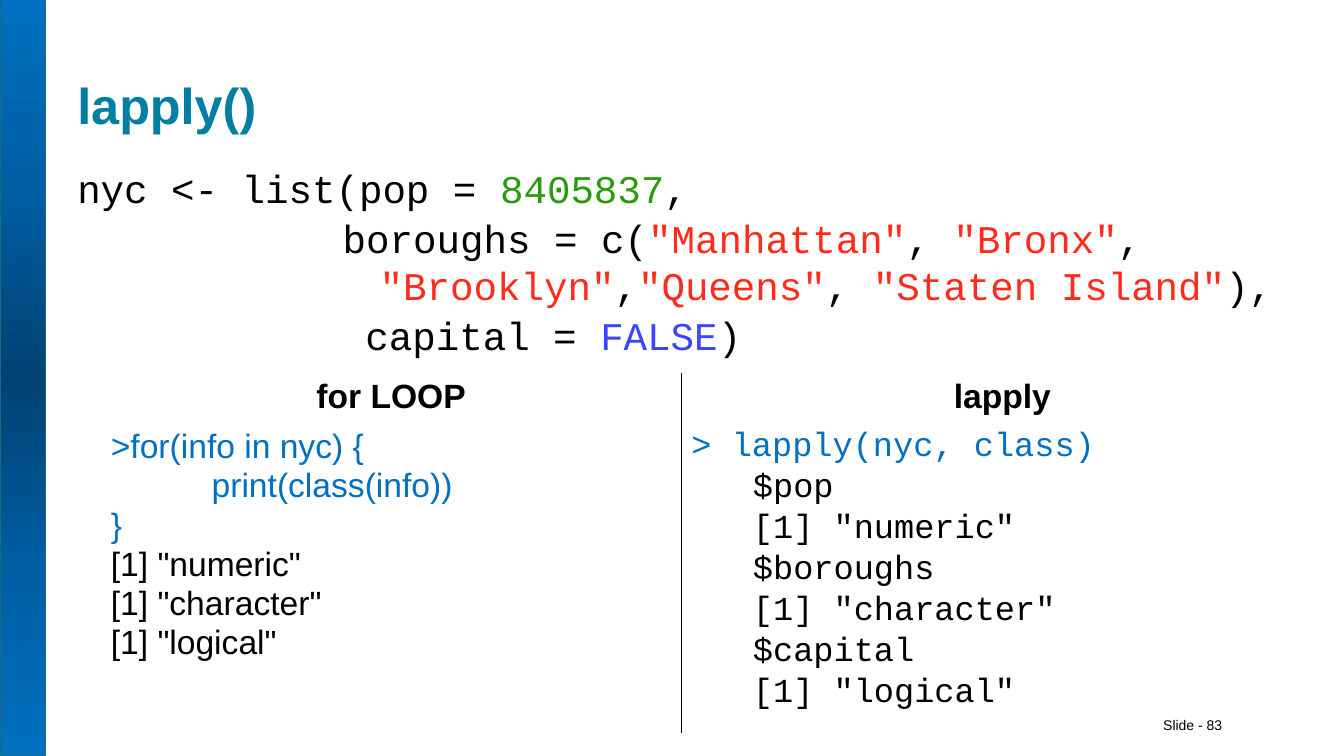
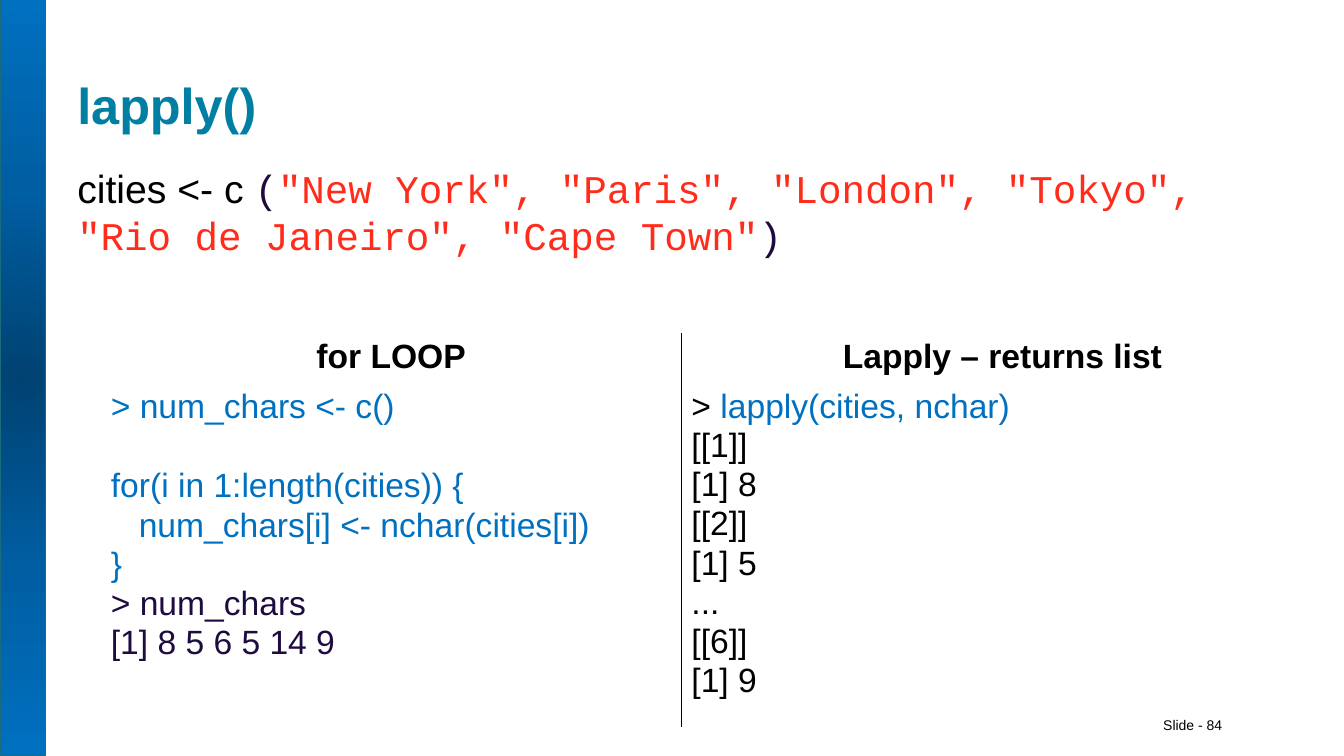
import dataclasses
import pptx
import pptx.util
import pptx.dml.color
import pptx.enum.shapes
import pptx.enum.text
import pptx.oxml
import pptx.oxml.ns

Pt = pptx.util.Pt
ALIGN = pptx.enum.text.PP_ALIGN
ANCHOR = pptx.enum.text.MSO_ANCHOR
WIDE, HIGH = pptx.util.Inches(13.333), pptx.util.Inches(7.5)
COL, ROW = WIDE / 80, HIGH / 45


@dataclasses.dataclass(frozen=True)
class Theme:
    black: str = "000000"
    title: str = "007FA3"
    blue: str = "0070C0"
    navy: str = "1E0B40"
    red: str = "FF2C1B"
    green: str = "2A9A0B"
    violet: str = "3945FF"
    edge: str = "1A6C7C"
    glow: tuple = ("004272", "005EA2", "0070C0")
    sans: str = "Arial"
    mono: str = "Courier New"
    head: int = 36
    code: int = 28
    cell: int = 24
    foot: int = 10


T = Theme()


@dataclasses.dataclass
class Para:
    """Runs are (text, colour) or (text, colour, font); indents are in columns."""
    runs: list
    font: str = T.sans
    left: float = 0
    first: float = 0
    before: float = 1.2
    line: float = 1.0
    align: object = ALIGN.LEFT
    bold: bool = False


def grid(left, top, wide, high):
    return [round(n) for n in (left * COL, top * ROW, wide * COL, high * ROW)]


def rgb(code):
    return pptx.dml.color.RGBColor.from_string(code)


def write(frame, paras, size):
    for i, para in enumerate(paras):
        p = frame.paragraphs[0] if i == 0 else frame.add_paragraph()
        p.alignment = para.align
        p.space_before = Pt(para.before)
        p.line_spacing = para.line
        props = p._p.get_or_add_pPr()
        props.set("marL", str(round(para.left * COL)))
        props.set("indent", str(round(para.first * COL)))
        for text, color, *font in para.runs:
            if text == "\n":
                p.add_line_break()
                continue
            run = p.add_run()
            run.text = text
            run.font.size = Pt(size)
            run.font.bold = para.bold
            run.font.name = font[0] if font else para.font
            run.font.color.rgb = rgb(color)


def label(slide, box, paras, size, pad=0.6, anchor=ANCHOR.TOP, wrap=True):
    frame = slide.shapes.add_textbox(*box).text_frame
    frame.word_wrap = wrap
    frame.vertical_anchor = anchor
    frame.margin_left = frame.margin_right = round(0.6 * COL)
    frame.margin_top = frame.margin_bottom = round(pad * ROW)
    write(frame, paras, size)


def band(slide, box):
    bar = slide.shapes.add_shape(pptx.enum.shapes.MSO_SHAPE.RECTANGLE, *box)
    bar.shadow.inherit = False
    bar.line.color.rgb = rgb(T.edge)
    bar.line.width = Pt(0.75)
    stops = "".join(
        f'<a:gs pos="{i * 50000}"><a:srgbClr val="{c}"/></a:gs>'
        for i, c in enumerate(T.glow))
    fill = pptx.oxml.parse_xml(
        f'<a:gradFill {pptx.oxml.ns.nsdecls("a")}><a:gsLst>{stops}</a:gsLst>'
        '<a:path path="circle"><a:fillToRect l="50000" t="50000" '
        'r="50000" b="50000"/></a:path></a:gradFill>')
    bar._element.spPr.find(pptx.oxml.ns.qn("a:prstGeom")).addnext(fill)


def border(cell, inner):
    """Rule only the inner side of a cell, and clear the others."""
    cell.fill.background()
    props = cell._tc.get_or_add_tcPr()
    for i, side in enumerate("LRTB"):
        ink = (f'<a:solidFill><a:srgbClr val="{T.black}"/></a:solidFill>'
               if side == inner else "<a:noFill/>")
        props.insert(i, pptx.oxml.parse_xml(
            f'<a:ln{side} {pptx.oxml.ns.nsdecls("a")} w="12700">{ink}</a:ln{side}>'))


def compare(slide, box, heads, sides):
    left, top, wide, high = box
    table = slide.shapes.add_table(2, 2, left, top, wide, high).table
    table.first_row = table.horz_banding = False
    table.rows[0].height = round(2.8 * ROW)
    table.rows[1].height = high - table.rows[0].height
    for c, inner in enumerate("RL"):
        table.columns[c].width = wide // 2
        title = Para([(heads[c], T.black)], left=3.66 * c, before=0,
                     align=ALIGN.CENTER, bold=True)
        for r, paras in enumerate(([title], sides[c])):
            cell = table.cell(r, c)
            border(cell, inner)
            write(cell.text_frame, paras, T.cell)


def lesson(deck, number, code, top, heads, sides):
    slide = deck.slides.add_slide(deck.slide_layouts[6])
    label(slide, grid(68.64, 42.36, 4.86, 1.62),
          [Para([(f"Slide - {number}", T.black)], before=0)],
          T.foot, pad=0.3, wrap=False)
    band(slide, grid(0, 0, 2.7, 45))
    label(slide, grid(4, 1.44, 72, 7.2),
          [Para([("lapply()", T.title)], before=0, bold=True)],
          T.head, anchor=ANCHOR.BOTTOM)
    label(slide, grid(4, 9.18, 73.1, 29.7), code, T.code)
    compare(slide, grid(6, top, 69.12, 42.3 - top), heads, sides)


def lines(texts, color, **style):
    return [Para([(text, color)], **style) for text in texts]


def types(deck):
    mono = dict(font=T.mono, before=2)
    code = [
        Para([("nyc <- list(pop = ", T.black), ("8405837", T.green),
              (",", T.black)], **mono),
        Para([("boroughs = c(", T.black), ('"Manhattan"', T.red),
              (", ", T.black), ('"Bronx"', T.red), (",", T.black),
              ("\n", T.black), ('"Brooklyn"', T.red), (",", T.black),
              ('"Queens"', T.red), (", ", T.black),
              ('"Staten Island"', T.red), ("),", T.black)],
             left=18, first=-2.2, **mono),
        Para([("capital = ", T.black), ("FALSE", T.violet), (")", T.black)],
             left=17.15, **mono),
    ]
    loop = [
        *lines([">for(info in nyc) {"], T.blue),
        *lines(["print(class(info))"], T.blue, left=6),
        *lines(["}"], T.blue),
        *lines(['[1] "numeric"', '[1] "character"', '[1] "logical"'], T.black),
    ]
    apply = [
        *lines(["> lapply(nyc, class)"], T.blue, **mono),
        *lines(["$pop", '[1] "numeric"', "$boroughs", '[1] "character"',
                "$capital", '[1] "logical"'], T.black, left=3.66, **mono),
    ]
    lesson(deck, 83, code, 22.2, ("for LOOP", "lapply"), (loop, apply))


def sizes(deck):
    names = ('"New York", "Paris", "London", "Tokyo", '
             '"Rio de Janeiro", "Cape Town"')
    code = [Para([("cities <- c ", T.black, T.sans), ("(", T.navy),
                  (names, T.red), (")", T.navy)], font=T.mono, before=2)]
    loop = [
        *lines(["> num_chars <- c()"], T.blue),
        *lines(["for(i in 1:length(cities)) {"], T.blue, before=30),
        *lines(["num_chars[i] <- nchar(cities[i])"], T.blue, left=1.66),
        *lines(["}"], T.blue),
        *lines(["> num_chars", "[1] 8 5 6 5 14 9"], T.navy),
    ]
    apply = [
        Para([("> ", T.black), ("lapply(cities, nchar)", T.blue)]),
        *lines(["[[1]]", "[1] 8", "[[2]]", "[1] 5", "...", "[[6]]", "[1] 9"],
               T.black),
    ]
    lesson(deck, 84, code, 19.8, ("for LOOP", "Lapply – returns list"),
           (loop, apply))


def main():
    deck = pptx.Presentation()
    deck.slide_width, deck.slide_height = WIDE, HIGH
    types(deck)
    sizes(deck)
    deck.save("out.pptx")


if __name__ == "__main__":
    main()
